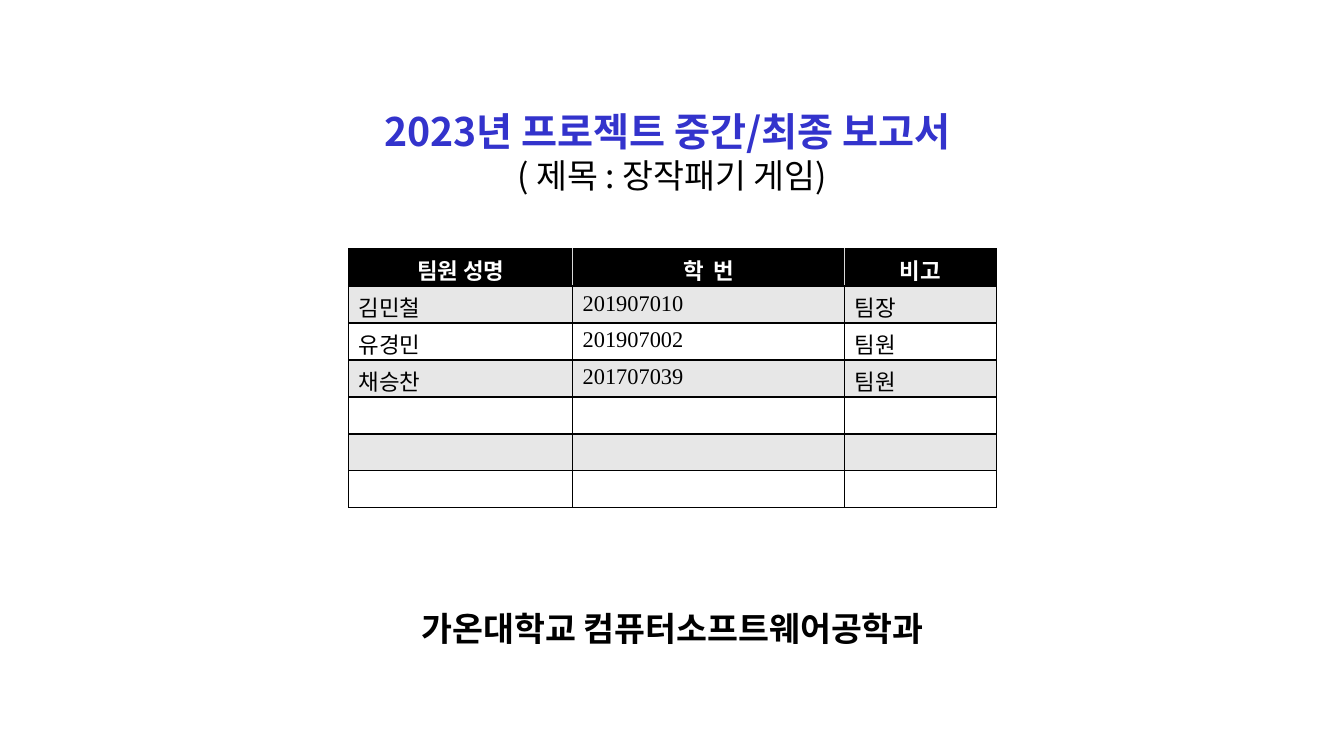
from lxml.etree import SubElement
from pptx import Presentation
from pptx.dml.color import RGBColor
from pptx.enum.text import MSO_ANCHOR as Anchor, PP_ALIGN as Align
from pptx.oxml.ns import qn
from pptx.util import Inches, Pt

BLACK = RGBColor(0x00, 0x00, 0x00)
WHITE = RGBColor(0xFF, 0xFF, 0xFF)
BAND_GRAY = RGBColor(0xE7, 0xE7, 0xE7)
DIVIDER_GRAY = RGBColor(0xD9, 0xD9, 0xD9)
TITLE_BLUE = RGBColor(0x33, 0x33, 0xCC)
SERIF = "Times New Roman"
SANS = "Noto Sans CJK KR"


def write_text(paragraph, text, color, align=Align.CENTER, **font_format):
    """Fill a paragraph with one formatted run."""
    paragraph.alignment = align
    run = paragraph.add_run()
    run.text = text
    for name, value in font_format.items():
        setattr(run.font, name, value)
    run.font.color.rgb = color
    if font_format["name"] == SANS:
        SubElement(run.font._element, qn("a:ea"), typeface=SANS)


def add_borders(cell, side_colors):
    """Draw 1 pt cell borders, placed ahead of the cell's fill."""
    properties = cell._tc.get_or_add_tcPr()
    for position, (side, color) in enumerate(side_colors.items()):
        line = SubElement(properties, qn(f"a:ln{side}"), w=str(Pt(1)))
        fill = SubElement(line, qn("a:solidFill"))
        SubElement(fill, qn("a:srgbClr"), val=str(color))
        properties.insert(position, line)


presentation = Presentation()
presentation.slide_width = Inches(13.33)
presentation.slide_height = Inches(7.5)
slide = presentation.slides.add_slide(presentation.slide_layouts[6])
width, height = presentation.slide_width, presentation.slide_height

# Department line and report title
department = ("가온대학교 컴퓨터소프트웨어공학과", BLACK,
              dict(size=Pt(24), name=SERIF, bold=True))
title = ("2023년 프로젝트 중간/최종 보고서 ", TITLE_BLUE,
         dict(size=Pt(28), name=SANS, bold=True))
subtitle = ("( 제목 : 장작패기 게임)", BLACK,
            dict(size=Pt(24), name=SANS, bold=False))
text_blocks = [
    ((Inches(3.57), Inches(5.98), Inches(6.2), Inches(0.51)),
     Anchor.MIDDLE, [department]),
    ((width // 4, Inches(1.02), width // 2, Inches(0.98)),
     Anchor.TOP, [title, subtitle]),
]
for place, anchor, lines in text_blocks:
    frame = slide.shapes.add_textbox(*place).text_frame
    frame.word_wrap = True
    frame.vertical_anchor = anchor
    for index, (text, color, font_format) in enumerate(lines):
        paragraph = frame.add_paragraph() if index else frame.paragraphs[0]
        write_text(paragraph, text, color, **font_format)

# Team table: header, three members and three empty rows
EMPTY_ROWS = 3
team = [
    ("팀원 성명", "학  번", "비고"),
    ("김민철", "201907010", "팀장"),
    ("유경민", "201907002", "팀원"),
    ("채승찬", "201707039", "팀원"),
] + [("", "", "")] * EMPTY_ROWS
column_widths = [Inches(2.22), Inches(2.7), Inches(1.5)]
table_height = Inches(2.57)
table = slide.shapes.add_table(
    len(team), len(column_widths), Inches(3.46), Inches(2.47),
    sum(column_widths), table_height).table
for column, column_width in zip(table.columns, column_widths):
    column.width = column_width

last_column = len(column_widths) - 1
for row_index, member in enumerate(team):
    table.rows[row_index].height = table_height // len(team)
    header = row_index == 0
    band = BLACK if header else BAND_GRAY if row_index % 2 else WHITE
    divider = DIVIDER_GRAY if header else BLACK
    for column_index, text in enumerate(member):
        cell = table.cell(row_index, column_index)
        cell.fill.solid()
        cell.fill.fore_color.rgb = band
        add_borders(cell, {
            "L": divider if column_index else BLACK,
            "R": divider if column_index < last_column else BLACK,
            "T": BLACK,
            "B": BLACK,
        })
        paragraph = cell.text_frame.paragraphs[0]
        if text:
            write_text(paragraph, text, WHITE if header else BLACK,
                       Align.CENTER if header else Align.LEFT,
                       size=Pt(16), name=SERIF, bold=header)
        else:
            SubElement(paragraph._p, qn("a:endParaRPr"), sz="1600")

presentation.save("out.pptx")
